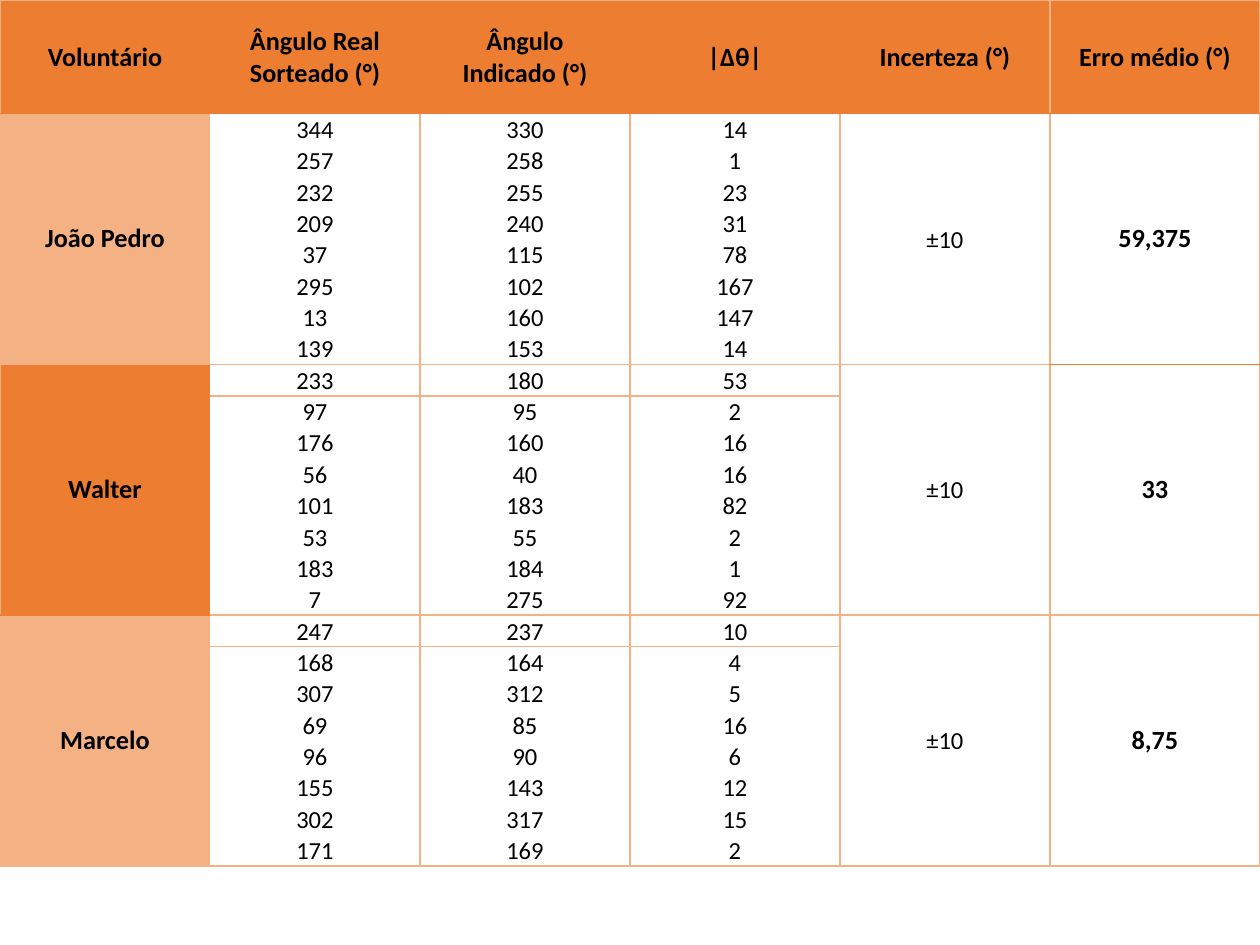
from lxml import etree
from pptx import Presentation
from pptx.dml.color import RGBColor
from pptx.enum.text import MSO_ANCHOR, PP_ALIGN
from pptx.oxml.ns import qn
from pptx.util import Cm, Pt

CENTER = PP_ALIGN.CENTER
MIDDLE = MSO_ANCHOR.MIDDLE
NO_STYLE = "{2D5ABB26-0587-4C30-8999-92F81FD0307C}"
COLORS = {"dark": "ED7D31", "light": "F4B183", "white": "FFFFFF", "text": "000000"}
BORDER_TAGS = {"left": "a:lnL", "right": "a:lnR", "top": "a:lnT", "bottom": "a:lnB"}

HEADERS = ["Voluntário", "Ângulo Real Sorteado (°)", "Ângulo\nIndicado (°)",
           "|Δθ|", "Incerteza (°)", "Erro médio (°)"]
VOLUNTEERS = [
    {"name": "João Pedro", "fill": "light", "error": "59,375",
     "name_edges": ("dark", "light"), "error_edges": ("dark", "dark"),
     "angles": [(344, 330, 14), (257, 258, 1), (232, 255, 23), (209, 240, 31),
                (37, 115, 78), (295, 102, 167), (13, 160, 147), (139, 153, 14)]},
    {"name": "Walter", "fill": "dark", "error": "33",
     "name_edges": ("light", "dark"), "error_edges": ("dark", "light"),
     "angles": [(233, 180, 53), (97, 95, 2), (176, 160, 16), (56, 40, 16),
                (101, 183, 82), (53, 55, 2), (183, 184, 1), (7, 275, 92)]},
    {"name": "Marcelo", "fill": "light", "error": "8,75",
     "name_edges": ("dark", "light"), "error_edges": ("light", "light"),
     "angles": [(247, 237, 10), (168, 164, 4), (307, 312, 5), (69, 85, 16),
                (96, 90, 6), (155, 143, 12), (302, 317, 15), (171, 169, 2)]},
]
TRIALS = 8


def write_cell(cell, text, fill="white", size=14, bold=False, wide=False, **borders):
    """Fill one cell; borders maps a side to a colour name, or None for no line."""
    side_inset, top_inset, bottom_inset = (0.33, 0.18, 0.18) if wide else (0.03, 0.03, 0)
    cell.margin_left = cell.margin_right = Cm(side_inset)
    cell.margin_top, cell.margin_bottom = Cm(top_inset), Cm(bottom_inset)
    cell.vertical_anchor = MIDDLE
    para = cell.text_frame.paragraphs[0]
    para.alignment = CENTER
    for index, line in enumerate(text.split("\n")):
        if index:
            para.add_line_break()
        span = para.add_run()
        span.text = line
        span.font.name = "Calibri"
        span.font.size = Pt(size)
        span.font.bold = bold
        span.font.color.rgb = RGBColor.from_string(COLORS["text"])
    properties = cell._tc.get_or_add_tcPr()
    for side, tag in BORDER_TAGS.items():
        if borders.get(side):
            line = etree.SubElement(properties, qn(tag), w=str(Pt(1)))
            paint = etree.SubElement(line, qn("a:solidFill"))
            etree.SubElement(paint, qn("a:srgbClr"), val=COLORS[borders[side]])
    cell.fill.solid()
    cell.fill.fore_color.rgb = RGBColor.from_string(COLORS[fill])


deck = Presentation()
deck.slide_width, deck.slide_height = Cm(25.4), Cm(19.05)
page = deck.slides.add_slide(deck.slide_layouts[6])

row_count = 1 + TRIALS * len(VOLUNTEERS)
frame = page.shapes.add_table(row_count, len(HEADERS), 0, 0, Cm(25.4), Cm(17.35))
table = frame.table
table.first_row = table.horz_banding = False
table._tbl.tblPr.find(qn("a:tableStyleId")).text = NO_STYLE
for row in table.rows:
    row.height = Cm(0.53)
table.rows[0].height = Cm(2.29)
frame.height = Cm(17.35)

header_borders = {0: {"left": "light", "bottom": "dark"},
                  4: {"right": "light"},
                  5: {"left": "light", "right": "light", "bottom": "dark"}}
for column, text in enumerate(HEADERS):
    write_cell(table.cell(0, column), text, fill="dark", size=15, bold=True,
               top="light", **header_borders.get(column, {}))

for block, volunteer in enumerate(VOLUNTEERS):
    first = 1 + block * TRIALS
    last = first + TRIALS - 1
    top_line = "light" if block else None
    for column in (0, 4, 5):
        table.cell(first, column).merge(table.cell(last, column))

    top, bottom = volunteer["name_edges"]
    write_cell(table.cell(first, 0), volunteer["name"], fill=volunteer["fill"],
               size=15, bold=True, wide=True, left="light", top=top, bottom=bottom)
    write_cell(table.cell(first, 4), "±10", left="light", right="light",
               top=top_line, bottom="light")
    top, bottom = volunteer["error_edges"]
    write_cell(table.cell(first, 5), volunteer["error"], size=15, bold=True, wide=True,
               left="light", right="light", top=top, bottom=bottom)

    for row, angles in enumerate(volunteer["angles"], first):
        for column, angle in enumerate(angles, 1):
            write_cell(table.cell(row, column), str(angle),
                       left="light" if column > 1 else None, right="light",
                       top=top_line if row == first else None,
                       bottom="light" if row == last else None)

deck.save("out.pptx")
